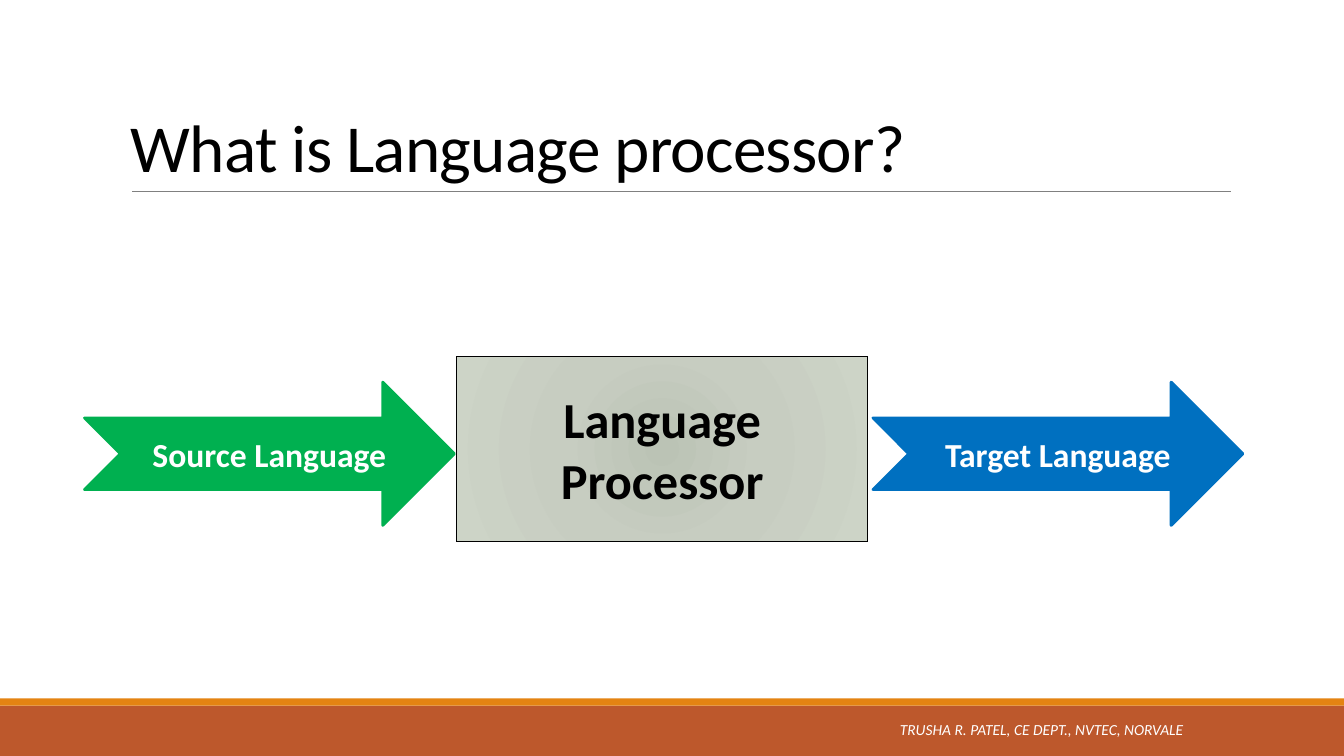
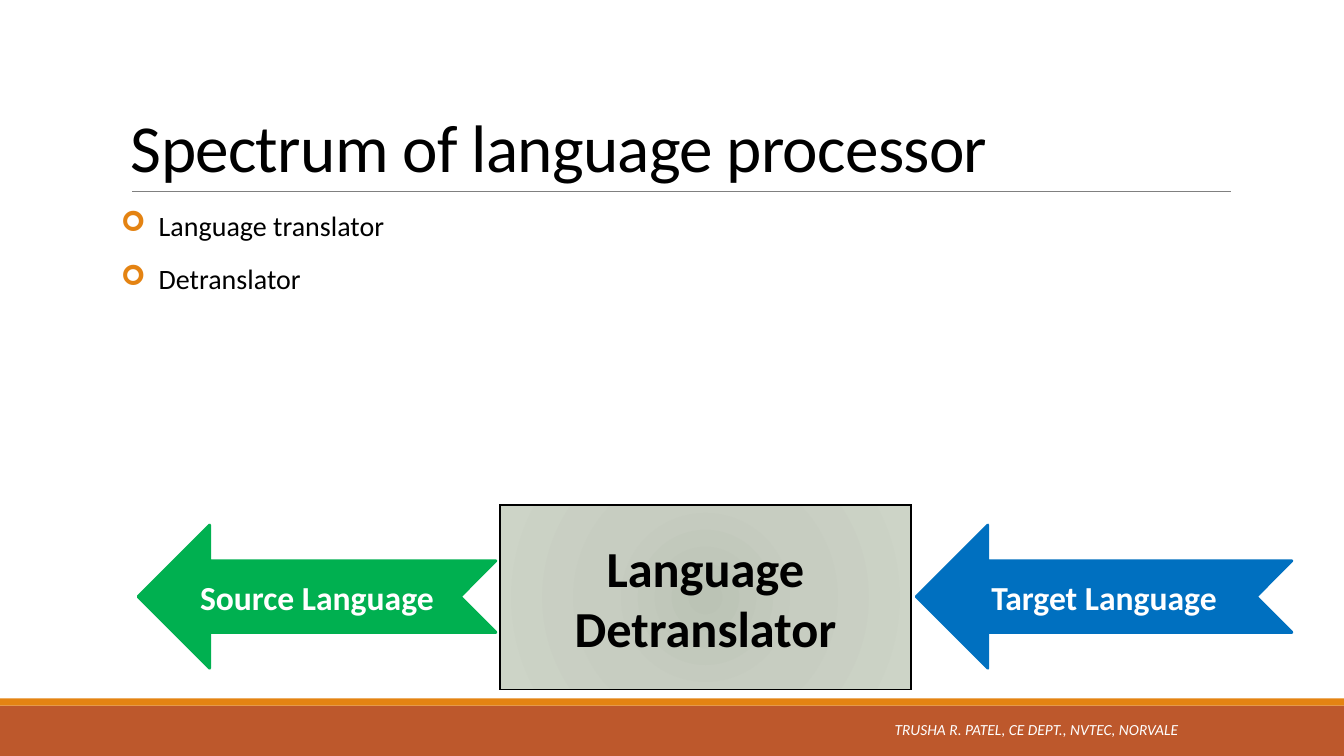
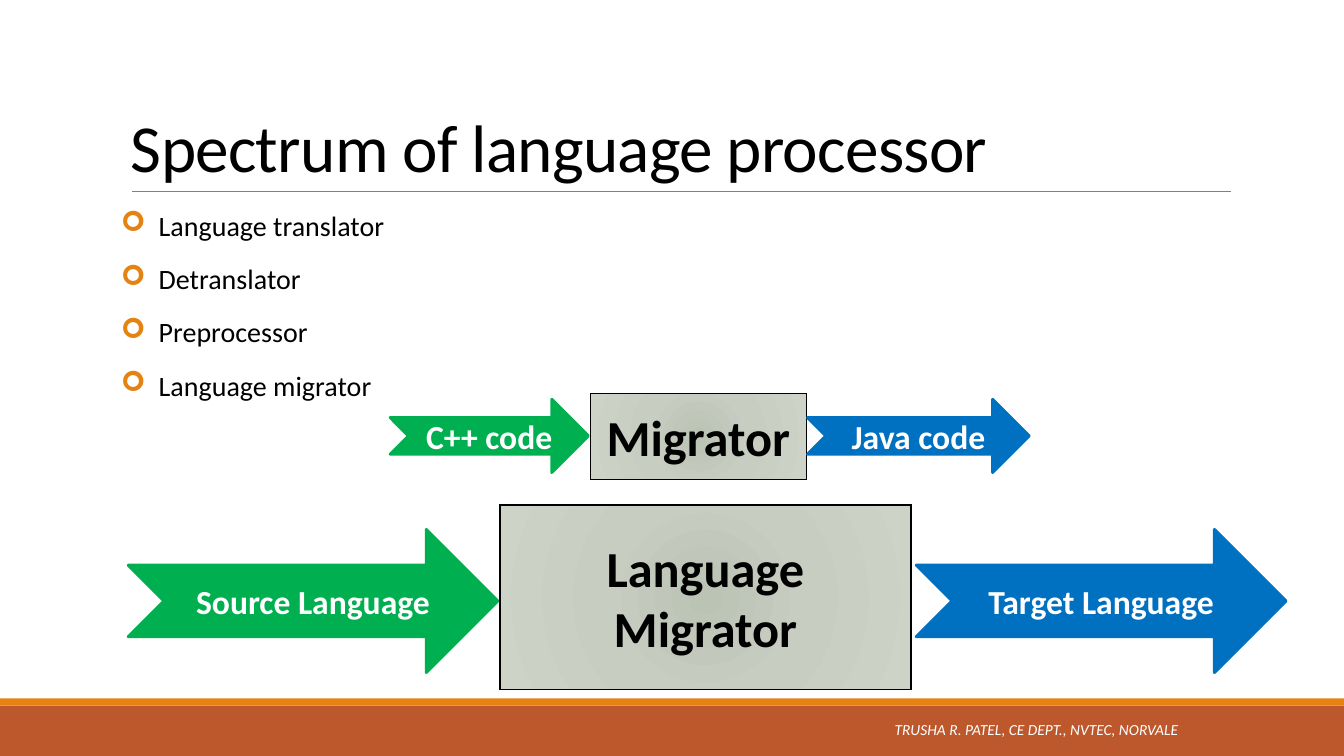
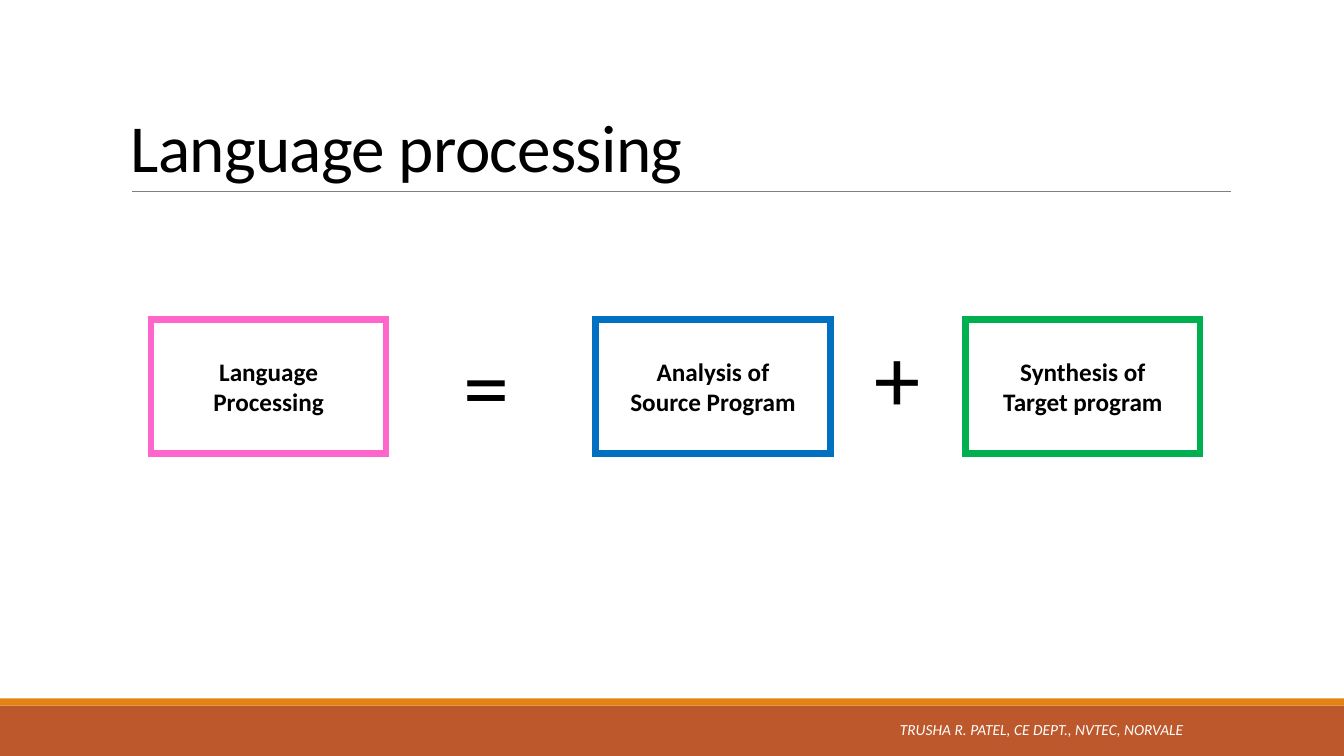
"""Build four slides about language processors."""
from dataclasses import dataclass
from typing import Any, NamedTuple

from lxml.etree import SubElement as Sub
from pptx import Presentation
from pptx.dml.color import RGBColor as Rgb
from pptx.enum.shapes import MSO_CONNECTOR as Link, MSO_SHAPE as Kind
from pptx.enum.text import MSO_ANCHOR as Anchor, MSO_AUTO_SIZE as Auto, PP_ALIGN as Align
from pptx.oxml import parse_xml
from pptx.oxml.ns import nsdecls, qn
from pptx.util import Cm, Pt

HUES = {
    "black": "000000", "white": "FFFFFF", "grey": "808080",
    "rust": "BD582C", "amber": "E48312", "green": "00B050",
    "blue": "0070C0", "pink": "FF66CC",
    "core": "BBC3B5", "mid": "C7CDC1", "rim": "CDD4C7",
}
FONT = "Calibri"
CREDIT = "TRUSHA R. PATEL, CE DEPT., NVTEC, NORVALE"
WIDTH, HEIGHT = 33.87, 19.05
TOPICS = ["Language translator", "Detranslator", "Preprocessor", "Language migrator"]


class Area(NamedTuple):
    left: float
    top: float
    width: float
    height: float


@dataclass
class Style:
    size: float
    hue: str = "black"
    bold: bool = False
    slant: bool = False
    align: Any = Align.LEFT
    anchor: Any = Anchor.TOP
    lead: float = 1.0


@dataclass
class Part:
    text: str
    area: Area


@dataclass
class Flow:
    box: Part
    source: Part
    target: Part
    back: bool = False


TITLE = Style(48, anchor=Anchor.BOTTOM, lead=0.85)
FOOT = Style(11, "white", slant=True, align=Align.RIGHT, anchor=Anchor.MIDDLE)
ITEM = Style(20)
BOX = Style(36, bold=True, align=Align.CENTER, anchor=Anchor.MIDDLE)
ARROW = Style(24, "white", bold=True, align=Align.CENTER, anchor=Anchor.MIDDLE)
TERM = Style(18, bold=True, align=Align.CENTER, anchor=Anchor.MIDDLE)
SIGN = Style(66, lead=0.9)


def tint(hue: str) -> Rgb:
    return Rgb.from_string(HUES[hue])


def span(area: Area) -> list:
    return [Cm(size) for size in area]


def write(shape: Any, text: str, style: Style) -> None:
    frame = shape.text_frame
    frame.text = text
    frame.word_wrap = True
    frame.vertical_anchor = style.anchor
    for para in frame.paragraphs:
        para.alignment = style.align
        para.line_spacing = style.lead
        for run in para.runs:
            font = run.font
            font.name, font.size = FONT, Pt(style.size)
            font.bold, font.italic = style.bold, style.slant
            font.color.rgb = tint(style.hue)


def label(slide: Any, text: str, area: Area, style: Style) -> Any:
    shape = slide.shapes.add_textbox(*span(area))
    write(shape, text, style)
    return shape


def block(slide: Any, kind: Any, area: Area, fill: str = "", line: str = "",
          weight: float = 1) -> Any:
    shape = slide.shapes.add_shape(kind, *span(area))
    shape.shadow.inherit = False
    if fill:
        shape.fill.solid()
        shape.fill.fore_color.rgb = tint(fill)
    else:
        shape.fill.background()
    if line:
        shape.line.color.rgb = tint(line)
        shape.line.width = Pt(weight)
    else:
        shape.line.fill.background()
    return shape


def frame_box(slide: Any, part: Part, style: Style, line: str, weight: float) -> Any:
    shape = block(slide, Kind.RECTANGLE, part.area, line=line, weight=weight)
    Sub(shape.element.spPr.find(qn("a:ln")), qn("a:miter"), lim="800000")
    write(shape, part.text, style)
    return shape


def glow(shape: Any) -> None:
    stops = "".join(
        f'<a:gs pos="{pos * 1000}"><a:srgbClr val="{HUES[hue]}"/></a:gs>'
        for pos, hue in ((0, "core"), (45, "mid"), (100, "rim")))
    fill = parse_xml(
        f'<a:gradFill {nsdecls("a")} rotWithShape="1"><a:gsLst>{stops}</a:gsLst>'
        '<a:path path="circle"><a:fillToRect l="100000" t="100000" r="100000" b="100000"/>'
        '</a:path></a:gradFill>')
    props = shape.element.spPr
    props.replace(props.find(qn("a:noFill")), fill)


def arrow(slide: Any, part: Part, hue: str, back: bool) -> None:
    shape = block(slide, Kind.NOTCHED_RIGHT_ARROW, part.area, hue, hue, 2)
    write(shape, part.text, ARROW)
    if back:
        shape.element.spPr.get_or_add_xfrm().set("flipH", "1")


def draw_flow(slide: Any, flow: Flow) -> None:
    glow(frame_box(slide, flow.box, BOX, "black", 1))
    arrow(slide, flow.source, "green", flow.back)
    arrow(slide, flow.target, "blue", flow.back)


def base(deck: Any, title: str, foot: float) -> Any:
    slide = deck.slides.add_slide(deck.slide_layouts[6])
    block(slide, Kind.RECTANGLE, Area(0, 17.78, WIDTH, 1.27), "rust")
    block(slide, Kind.RECTANGLE, Area(0, 17.6, WIDTH, 0.18), "amber")
    rule = slide.shapes.add_connector(
        Link.STRAIGHT, Cm(3.33), Cm(4.83), Cm(31.01), Cm(4.83))
    rule.line.color.rgb = tint("grey")
    rule.line.width = Pt(0.5)
    Sub(rule.element.spPr, qn("a:effectLst"))
    head = label(slide, title, Area(3.05, 0.79, 27.94, 4.04), TITLE)
    for run in head.text_frame.paragraphs[0].runs:
        run.font._element.set("spc", "-50")
    label(slide, CREDIT, Area(foot, 17.86, 13.39, 1.02), FOOT)
    return slide


def topics(slide: Any, items: list[str]) -> None:
    frame = label(slide, "\n".join(items), Area(3.05, 5.13, 27.94, 11.18), ITEM).text_frame
    frame.margin_left = frame.margin_right = 0
    for para in frame.paragraphs:
        para.space_before, para.space_after = Pt(12), Pt(2)
        props = para._p.get_or_add_pPr()
        props.set("marL", str(Cm(0.95)))
        props.set("indent", str(-Cm(0.95)))
        Sub(Sub(props, qn("a:buClr")), qn("a:srgbClr"), val=HUES["amber"])
        Sub(props, qn("a:buFont"), typeface="Wingdings")
        Sub(props, qn("a:buChar"), char="\u27a2")


def wide(word: str, box: tuple, left: tuple, right: tuple, back: bool = False) -> Flow:
    return Flow(Part(f"Language\n{word}", Area(*box, 10.36, 4.65)),
                Part("Source Language", Area(*left, 3.61)),
                Part("Target Language", Area(*right, 3.61)), back)


def main() -> None:
    deck = Presentation()
    deck.slide_width, deck.slide_height = Cm(WIDTH), Cm(HEIGHT)

    slide = base(deck, "What is Language processor?", 16.69)
    draw_flow(slide, wide("Processor", (11.51, 8.99), (2.13, 9.63, 9.32), (22, 9.63, 9.32)))

    spectrum = "Spectrum of language processor"
    slide = base(deck, spectrum, 16.56)
    topics(slide, TOPICS[:2])
    draw_flow(slide, wide("Detranslator", (12.6, 12.73), (3.48, 13.23, 9.02),
                          (23.09, 13.23, 9.47), back=True))

    slide = base(deck, spectrum, 16.56)
    topics(slide, TOPICS)
    draw_flow(slide, wide("Migrator", (12.6, 12.73), (3.23, 13.34, 9.32),
                          (23.09, 13.34, 9.32)))
    draw_flow(slide, Flow(Part("Migrator", Area(14.88, 9.91, 5.44, 2.18)),
                          Part("C++ code", Area(9.83, 10.06, 5, 1.85)),
                          Part("Java code", Area(20.35, 10.06, 5.59, 1.85))))

    slide = base(deck, "Language processing", 16.69)
    for text, left, hue in (("Language\nProcessing", 3.81, "pink"),
                            ("Analysis of\nSource Program", 15.01, "blue"),
                            ("Synthesis of\nTarget program", 24.33, "green")):
        frame_box(slide, Part(text, Area(left, 8.05, 5.92, 3.38)), TERM, hue, 4.5)
    for text, left, top in (("=", 11.43, 8.46), ("+", 21.79, 8.26)):
        frame = label(slide, text, Area(left, top, 1.73, 2.79), SIGN).text_frame
        frame.word_wrap = False
        frame.auto_size = Auto.SHAPE_TO_FIT_TEXT

    deck.save("out.pptx")


main()
